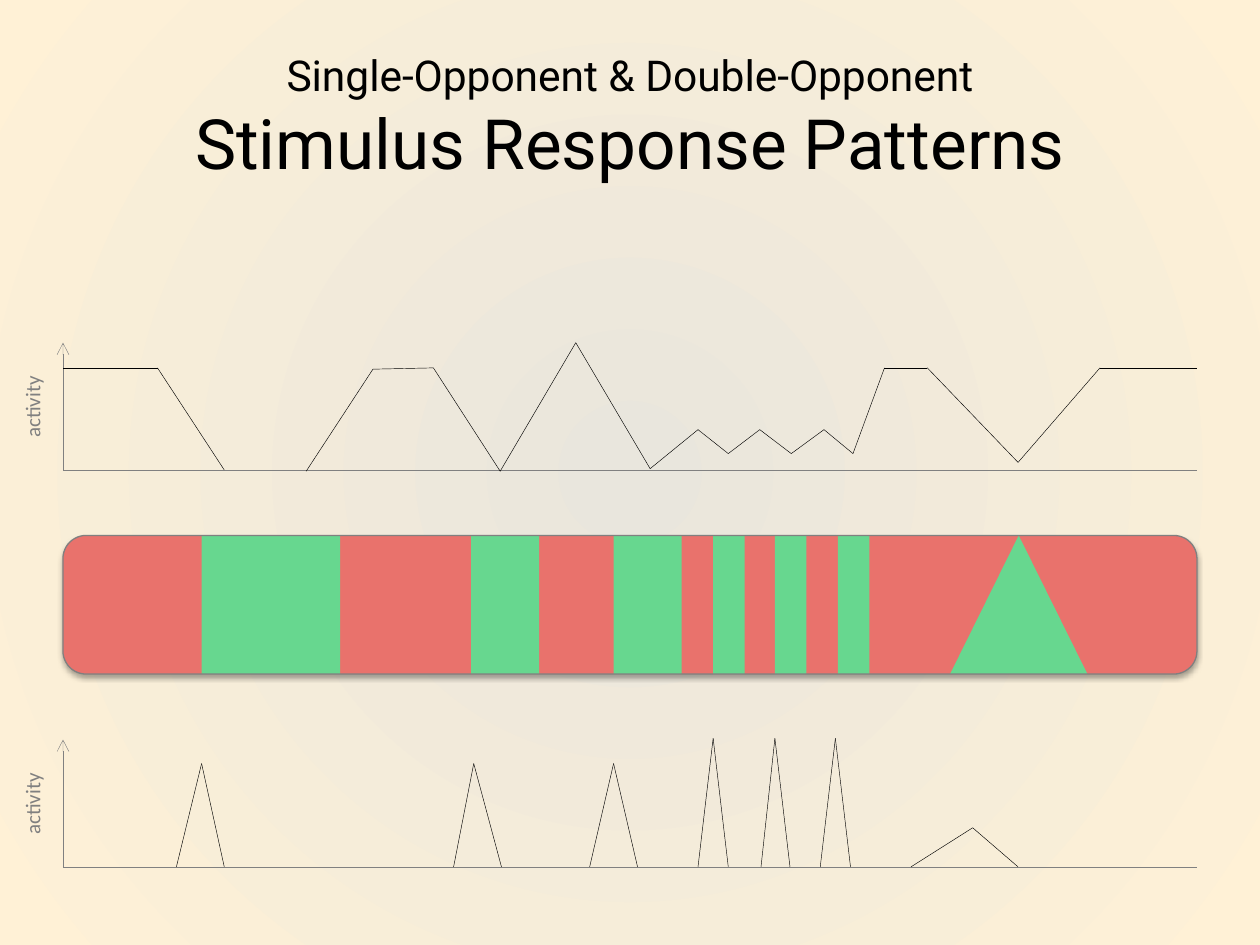
from itertools import pairwise

from lxml import etree
from pptx import Presentation
from pptx.dml.color import RGBColor
from pptx.enum.shapes import MSO_CONNECTOR, MSO_SHAPE
from pptx.enum.text import MSO_ANCHOR, MSO_AUTO_SIZE, PP_ALIGN
from pptx.oxml import parse_xml
from pptx.oxml.ns import nsdecls, qn
from pptx.util import Inches, Pt

STRAIGHT = MSO_CONNECTOR.STRAIGHT
ROUNDED, RECTANGLE, TRAPEZOID = (
    MSO_SHAPE.ROUNDED_RECTANGLE, MSO_SHAPE.RECTANGLE, MSO_SHAPE.TRAPEZOID)
CENTER = PP_ALIGN.CENTER

# Content (inches)
TITLE = [("Single-Opponent & Double-Opponent", 24.3),
         ("Stimulus Response Patterns", 39.6)]
AXIS_LABEL = "activity"
BLACK, GRAY, RED, GREEN = "000000", "808080", "E9726C", "67D78F"
BACKGROUND = ["E9E6DD", "FFF1D6"]  # centre, edge

LEFT, WIDTH = 0.5, 9
RIGHT = LEFT + WIDTH
BAR_TOP, BAR_HEIGHT = 4.25, 1.1
STRIPES = [(1.6, 1.1), (3.74, 0.54), (4.87, 0.54),
           (5.66, 0.25), (6.15, 0.25), (6.65, 0.25)]  # left, width
TRIANGLE = (7.54, 1.09)

SINGLE_BASE, DOUBLE_BASE = 3.73, 6.88
HIGH = 2.92  # full response of the single-opponent cell
SINGLE_TRACES = [
    [(LEFT, HIGH), (1.25, HIGH), (1.78, SINGLE_BASE)],
    [(2.43, 3.74), (2.96, 2.93), (3.44, HIGH), (3.97, 3.74), (4.57, 2.72),
     (5.16, 3.72), (5.54, 3.41), (5.78, 3.6), (6.03, 3.41), (6.28, 3.6),
     (6.54, 3.41), (6.77, 3.6), (7.02, HIGH), (7.36, HIGH), (8.08, 3.67),
     (8.73, HIGH), (RIGHT, HIGH)],
]
DOUBLE_PEAKS = [  # start, peak, end, peak height position
    (1.4, 1.6, 1.78, 6.06), (3.6, 3.76, 3.98, 6.06), (4.68, 4.87, 5.06, 6.06),
    (5.54, 5.66, 5.78, 5.86), (6.04, 6.15, 6.27, 5.86), (6.51, 6.63, 6.75, 5.86),
    (7.23, 7.72, 8.08, 6.57)]

presentation = Presentation()
presentation.slide_width, presentation.slide_height = Inches(10), Inches(7.5)
slide = presentation.slides.add_slide(presentation.slide_layouts[5])


def color(value):
    return RGBColor.from_string(value)


def add_line(start, end, line_color=BLACK, arrow=False):
    line = slide.shapes.add_connector(
        STRAIGHT, *(Inches(value) for value in (*start, *end)))
    line.line.color.rgb = color(line_color)
    line.line.width = Pt(0.25)
    properties = line.element.spPr
    if arrow:
        etree.SubElement(properties.find(qn("a:ln")), qn("a:tailEnd"), type="arrow")
    etree.SubElement(properties, qn("a:effectLst"))


def add_trace(points):
    for start, end in pairwise(points):
        add_line(start, end)


def add_bar_part(kind, left, width, fill=None, outline=None):
    shape = slide.shapes.add_shape(
        kind, Inches(left), Inches(BAR_TOP), Inches(width), Inches(BAR_HEIGHT))
    shape.shadow.inherit = False
    if fill:
        shape.fill.solid()
        shape.fill.fore_color.rgb = color(fill)
    else:
        shape.fill.background()
    if outline:
        shape.line.color.rgb = color(outline)
        shape.line.width = Pt(0.75)
    else:
        shape.line.fill.background()
    return shape


def add_run(paragraph, text, size, font, text_color):
    run = paragraph.add_run()
    run.text = text
    run.font.size, run.font.name = Pt(size), font
    run.font.color.rgb = color(text_color)


def add_axes(base):
    add_line((LEFT, base), (RIGHT, base), GRAY)
    add_line((LEFT, base), (LEFT, base - 1.01), GRAY, arrow=True)
    label = slide.shapes.add_textbox(
        Inches(-0.25), Inches(base - 0.65), Inches(1.01), Inches(0.3))
    label.rotation = 270
    label.text_frame.word_wrap = True
    label.text_frame.auto_size = MSO_AUTO_SIZE.SHAPE_TO_FIT_TEXT
    paragraph = label.text_frame.paragraphs[0]
    paragraph.alignment = CENTER
    add_run(paragraph, AXIS_LABEL, 12, "Calibri", GRAY)


# Background: radial gradient
fill = slide.background.fill
fill.gradient()
for stop, position, value in zip(fill.gradient_stops, (0, 1), BACKGROUND):
    stop.position = position
    stop.color.rgb = color(value)
gradient = slide.element.find(".//" + qn("a:gradFill"))
gradient.replace(gradient.find(qn("a:lin")), parse_xml(
    f'<a:path {nsdecls("a")} path="circle">'
    '<a:fillToRect l="50000" t="50000" r="50000" b="50000"/></a:path>'))

# Title
title = slide.shapes.title
title.left, title.top = Inches(LEFT), Inches(0.3)
title.width, title.height = Inches(WIDTH), Inches(1.25)
title.text_frame.auto_size = MSO_AUTO_SIZE.NONE
title.text_frame.vertical_anchor = MSO_ANCHOR.MIDDLE
heading = title.text_frame.paragraphs[0]
heading.alignment = CENTER
for index, (text, size) in enumerate(TITLE):
    if index:
        heading.add_line_break()
    add_run(heading, text, size, "Roboto", BLACK)

# Stimulus bar
bar = add_bar_part(ROUNDED, LEFT, WIDTH, RED)
effects = bar.element.spPr.find(qn("a:effectLst"))
effects.append(parse_xml(
    f'<a:outerShdw {nsdecls("a")} blurRad="{Pt(3.1)}" dist="{Pt(1.8)}" '
    'dir="5400000" rotWithShape="0"><a:srgbClr val="000000">'
    '<a:alpha val="35000"/></a:srgbClr></a:outerShdw>'))
for left, width in STRIPES:
    add_bar_part(RECTANGLE, left, width, GREEN)
add_bar_part(TRAPEZOID, *TRIANGLE, GREEN).adjustments[0] = 0.5
add_bar_part(ROUNDED, LEFT, WIDTH, outline=GRAY)

# Response plots
add_axes(SINGLE_BASE)
for trace in SINGLE_TRACES:
    add_trace(trace)
add_axes(DOUBLE_BASE)
for start, peak, end, top in DOUBLE_PEAKS:
    add_trace([(start, DOUBLE_BASE), (peak, top), (end, DOUBLE_BASE)])

presentation.save("out.pptx")
